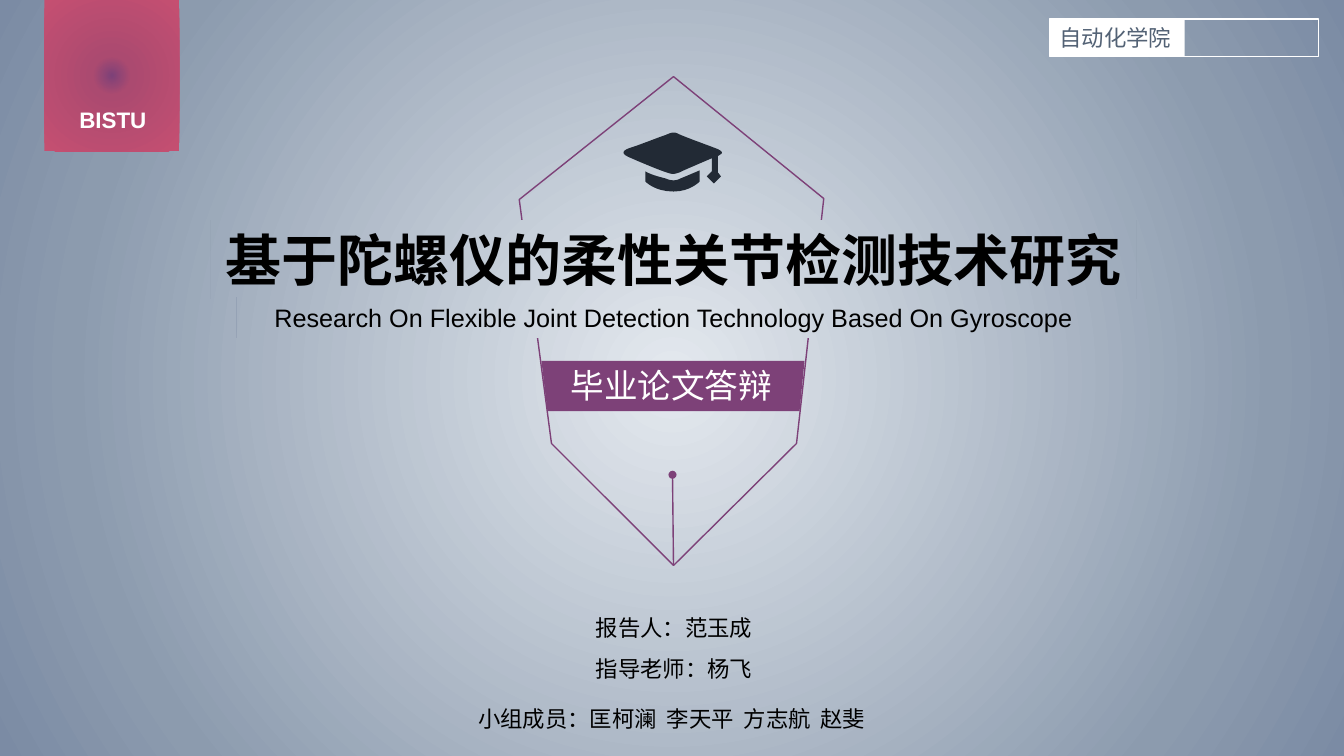
from dataclasses import dataclass

from pptx import Presentation
from pptx.dml.color import RGBColor
from pptx.enum.shapes import MSO_CONNECTOR, MSO_SHAPE
from pptx.enum.text import MSO_ANCHOR, MSO_AUTO_SIZE, PP_ALIGN
from pptx.oxml import parse_xml
from pptx.oxml.ns import nsdecls, qn
from pptx.util import Inches, Pt

RECT, OVAL = MSO_SHAPE.RECTANGLE, MSO_SHAPE.OVAL
LINE = MSO_CONNECTOR.STRAIGHT
LEFT, CENTER = PP_ALIGN.LEFT, PP_ALIGN.CENTER
MIDDLE = MSO_ANCHOR.MIDDLE
GROW = MSO_AUTO_SIZE.SHAPE_TO_FIT_TEXT


@dataclass(frozen=True)
class Theme:
    font: str = "Arial"
    label_font: str = "Noto Sans CJK SC"
    plum: str = "7D4178"
    white: str = "FFFFFF"
    black: str = "000000"
    slate: str = "536275"
    navy: str = "222A35"
    sky: tuple = ((0, "E4E9EF"), (78, "8C9BAE"), (100, "7B8BA4"))
    rose: tuple = ((0, "7D4178"), (19, "AB4A70"), (100, "C54F71"))
    title: int = 40
    badge: int = 24
    sub: int = 18
    body: int = 16
    rule: int = 1


T = Theme()

# Outlines in inches: two numbers make a corner, six make a curve
GEM = [(5.15, 1.98), (6.68, 0.76), (8.17, 1.97), (7.9, 4.4), (6.68, 5.61), (5.47, 4.4)]
BAND = [(5.37, 3.58), (7.98, 3.58), (7.93, 4.08), (5.43, 4.08)]
BOARD = [
    (7.12, 1.55), (7.12, 1.71), (7.15, 1.75), (7.08, 1.82), (7.01, 1.75),
    (7.06, 1.7), (7.06, 1.57),
    (6.85, 1.66, 6.78, 1.69, 6.74, 1.71), (6.69, 1.73, 6.66, 1.73, 6.61, 1.71),
    (6.57, 1.7, 6.35, 1.61, 6.24, 1.56), (6.17, 1.53, 6.16, 1.5, 6.24, 1.47),
    (6.34, 1.44, 6.51, 1.37, 6.6, 1.34), (6.65, 1.32, 6.68, 1.3, 6.73, 1.33),
    (6.82, 1.37, 7.02, 1.44, 7.12, 1.48), (7.2, 1.52, 7.14, 1.53, 7.12, 1.55),
]
BASE = [
    (6.75, 1.77), (6.8, 1.75, 6.87, 1.72, 6.94, 1.69), (6.94, 1.8),
    (6.94, 1.8, 6.85, 1.9, 6.68, 1.9), (6.49, 1.9, 6.4, 1.8, 6.4, 1.8),
    (6.4, 1.7), (6.45, 1.73, 6.52, 1.75, 6.6, 1.77),
    (6.64, 1.79, 6.7, 1.8, 6.75, 1.77),
]


def rgb(code):
    return RGBColor.from_string(code)


def glow(props, stops):
    """Swap a solid fill for a circular gradient."""
    marks = "".join(
        f'<a:gs pos="{at * 1000}"><a:srgbClr val="{code}"/></a:gs>' for at, code in stops)
    grad = parse_xml(
        f'<a:gradFill {nsdecls("a")} rotWithShape="1"><a:gsLst>{marks}</a:gsLst>'
        '<a:path path="circle"><a:fillToRect l="50000" t="50000" r="50000" b="50000"/>'
        '</a:path></a:gradFill>')
    props.replace(props.find(qn("a:solidFill")), grad)


def paint(shape, fill=None, line=None):
    shape.shadow.inherit = False
    if fill:
        shape.fill.solid()
        shape.fill.fore_color.rgb = rgb(fill)
    else:
        shape.fill.background()
    if line:
        shape.line.color.rgb = rgb(line)
        shape.line.width = Pt(T.rule)
    else:
        shape.line.fill.background()
    return shape


def block(slide, box, kind=RECT, **look):
    return paint(slide.shapes.add_shape(kind, *map(Inches, box)), **look)


def mask(slide, box):
    """A rectangle that shows the slide background."""
    shape = block(slide, box)
    props = shape._element.spPr
    props.remove(props.find(qn("a:noFill")))
    shape._element.remove(shape._element.find(qn("p:style")))
    shape._element.set("useBgFill", "1")
    return shape


def trace(path, steps=8):
    """Turn corners and curves into a list of points."""
    dots = []
    for part in path:
        if len(part) == 2:
            dots.append(part)
            continue
        a, b, c, d = dots[-1], part[:2], part[2:4], part[4:]
        for i in range(1, steps + 1):
            t = i / steps
            u = 1 - t
            dots.append(tuple(
                u**3 * a[k] + 3 * u * u * t * b[k] + 3 * u * t * t * c[k] + t**3 * d[k]
                for k in (0, 1)))
    return [(Inches(x), Inches(y)) for x, y in dots]


def outline(slide, *paths, **look):
    first, *rest = [trace(path) for path in paths]
    pen = slide.shapes.build_freeform(*first[0])
    pen.add_line_segments(first[1:], close=True)
    for dots in rest:
        pen.move_to(*dots[0])
        pen.add_line_segments(dots[1:], close=True)
    return paint(pen.convert_to_shape(), **look)


def link(slide, start, end):
    line = slide.shapes.add_connector(LINE, *map(Inches, start + end))
    line.line.color.rgb = rgb(T.plum)
    line.line.width = Pt(T.rule)
    line._element.spPr.append(parse_xml(f'<a:effectLst {nsdecls("a")}/>'))


def write(shape, text, size=T.body, color=T.black, font=T.font, bold=False,
          align=CENTER, wrap=False):
    frame = shape.text_frame
    frame.word_wrap = wrap
    frame.auto_size = GROW
    frame.vertical_anchor = MIDDLE
    para = frame.paragraphs[0]
    para.alignment = align
    run = para.add_run()
    run.text = text
    run.font.name = font
    run.font.size = Pt(size)
    run.font.bold = bold
    run.font.color.rgb = rgb(color)


def label(slide, box, text, **style):
    write(slide.shapes.add_textbox(*map(Inches, box)), text, **style)


def main():
    deck = Presentation()
    deck.slide_width, deck.slide_height = Inches(13.33), Inches(7.5)
    slide = deck.slides.add_slide(deck.slide_layouts[6])

    # Background
    slide.background.fill.solid()
    glow(slide._element.find(".//" + qn("p:bgPr")), T.sky)

    # School flag
    flag = block(slide, (0.44, 0, 1.34, 1.5), fill=T.plum)
    glow(flag._element.spPr, T.rose)
    label(slide, (0.68, 1, 0.88, 0.37), "BISTU", color=T.white, bold=True)

    # Faculty tag
    tag = block(slide, (10.41, 0.19, 1.34, 0.37), fill=T.white)
    write(tag, "自动化学院", color=T.slate, font=T.label_font, align=LEFT, wrap=True)
    block(slide, (10.41, 0.19, 2.67, 0.37), line=T.white)

    # Gem frame with badge
    outline(slide, GEM, line=T.plum)
    outline(slide, BAND, fill=T.plum)
    label(slide, (5.56, 3.57, 2.22, 0.5), "毕业论文答辩",
          size=T.badge, color=T.white, align=LEFT)

    # Titles
    write(mask(slide, (2.09, 2.19, 9.18, 0.77)), "基于陀螺仪的柔性关节检测技术研究",
          size=T.title, bold=True)
    write(mask(slide, (2.35, 2.95, 8.66, 0.4)),
          "Research On Flexible Joint Detection Technology Based On Gyroscope", size=T.sub)

    # Pin and graduation cap
    link(slide, (6.68, 5.61), (6.67, 4.69))
    block(slide, (6.63, 4.67, 0.08, 0.08), kind=OVAL, fill=T.plum)
    outline(slide, BOARD, BASE, fill=T.navy)

    # People
    for left, top, wide, text in (
        (5.8, 6.04, 1.77, "报告人：范玉成"),
        (5.8, 6.45, 1.77, "指导老师：杨飞"),
        (4.57, 6.94, 4.19, "小组成员：匡柯澜  李天平  方志航  赵斐"),
    ):
        label(slide, (left, top, wide, 0.37), text)

    deck.save("out.pptx")


if __name__ == "__main__":
    main()
